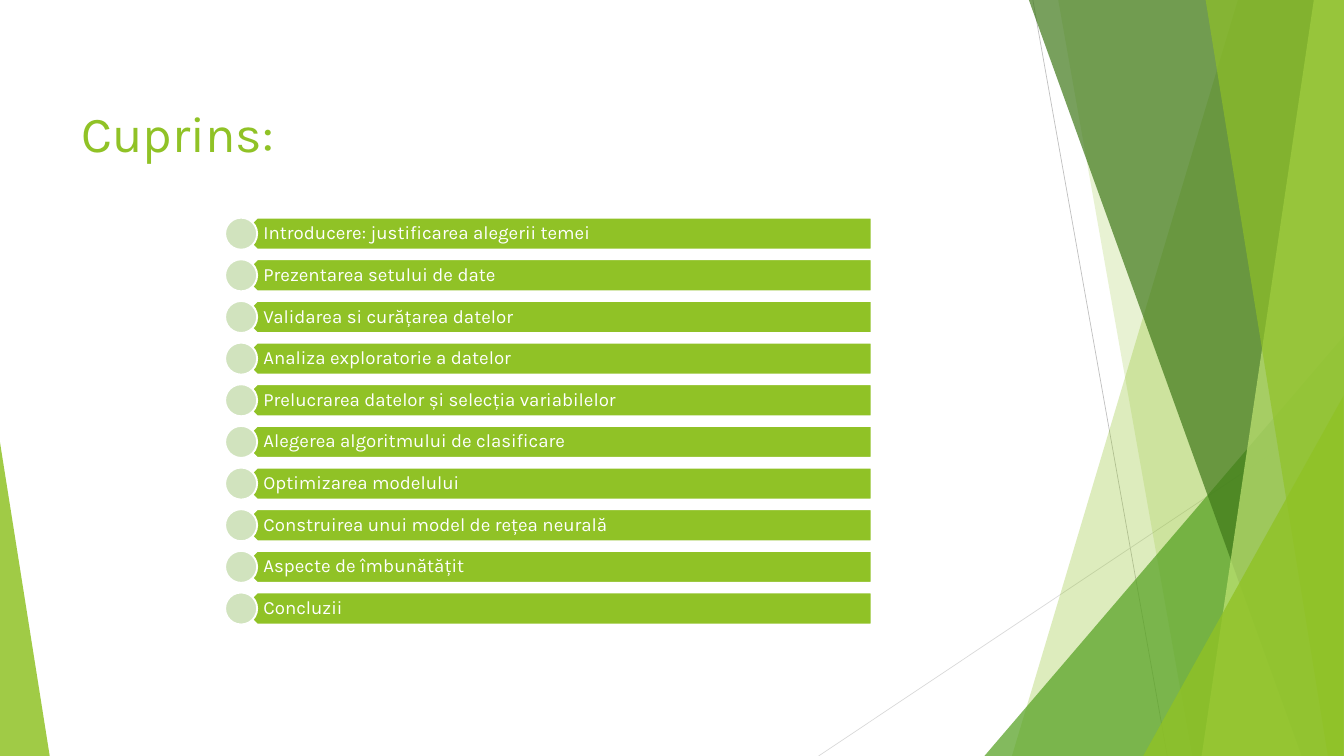
from collections import namedtuple

from lxml.etree import SubElement
from pptx import Presentation
from pptx.dml.color import RGBColor
from pptx.enum.shapes import MSO_CONNECTOR, MSO_SHAPE
from pptx.enum.text import MSO_ANCHOR, PP_ALIGN
from pptx.oxml.ns import qn
from pptx.util import Cm, Pt

Box = namedtuple("Box", "left top width height")

PAGE = Box(0, 0, 50.8, 28.58)
TITLE = Box(2.82, 2.54, 35.81, 4.95)
CONTENTS = Box(8.51, 8.23, 24.43, 15.38)
BAR_HEIGHT = 1.21
FONT = "Karla"
COLOURS = {
    "lime": "90C226",
    "green": "54A021",
    "forest": "3F7819",
    "pale lime": "C0E474",
    "pale green": "D1E3BE",
    "white": "FFFFFF",
    "grey": "BFBFBF",
    "light grey": "D9D9D9",
}
TOPICS = [
    "Introducere: justificarea alegerii temei",
    "Prezentarea setului de date",
    "Validarea si curățarea datelor",
    "Analiza exploratorie a datelor",
    "Prelucrarea datelor și selecția variabilelor",
    "Alegerea algoritmului de clasificare",
    "Optimizarea modelului",
    "Construirea unui model de rețea neurală",
    "Aspecte de îmbunătățit",
    "Concluzii",
]
RULES = [((39.04, 0), (44.12, 28.58), "grey"), ((50.77, 15.34), (30.94, 28.58), "light grey")]
# Bands run to the right edge: x at top, x at bottom, colour, opacity in percent.
BACK_BANDS = [(46.79, 38.25, "lime", 30), (40, 45.06, "lime", 20)]
FRONT_BANDS = [
    (38.89, 49.2, "forest", 70),
    (49.66, 45.42, "pale lime", 70),
    (45.57, 50.19, "lime", 65),
]
# Wedges stand on the bottom edge: left, width, height, apex, colour, opacity.
BACK_WEDGES = [(37.21, 13.59, 15.88, 1, "green", 72)]
FRONT_WEDGES = [(43.21, 7.57, 13.61, 1, "lime", 80), (0, 1.88, 11.86, 0, "lime", 85)]


def colour(name):
    return RGBColor.from_string(COLOURS[name])


def set_values(target, values):
    for name, value in values.items():
        setattr(target, name, value)


def paint(shape, fill, opacity=100, outline=None):
    shape.shadow.inherit = False
    shape.fill.solid()
    shape.fill.fore_color.rgb = colour(fill)
    if opacity < 100:
        tint = shape.fill._xPr.find(qn("a:solidFill"))[0]
        SubElement(tint, qn("a:alpha"), val=str(opacity * 1000))
    if outline:
        shape.line.color.rgb = colour(outline)
        shape.line.width = Pt(2)
    else:
        shape.line.fill.background()


def add_polygon(shapes, points):
    start, *others = [(Cm(x), Cm(y)) for x, y in points]
    builder = shapes.build_freeform(*start)
    builder.add_line_segments(others, close=True)
    return builder.convert_to_shape()


def write(para, text, size, fill):
    para.alignment = PP_ALIGN.LEFT
    span = para.add_run()
    span.text = text
    set_values(span.font, {"name": FONT, "size": Pt(size)})
    span.font.color.rgb = colour(fill)


def add_rules(shapes, box):
    for start, end, tone in RULES:
        ends = [Cm(box[axis] + point[axis]) for point in (start, end) for axis in (0, 1)]
        rule = shapes.add_connector(MSO_CONNECTOR.STRAIGHT, *ends)
        rule.line.color.rgb = colour(tone)
        rule.line.width = Pt(0.75)
        SubElement(rule._element.spPr, qn("a:effectLst"))


def add_bands(shapes, box, bands):
    right, bottom = box.left + box.width, box.top + box.height
    for top_x, bottom_x, fill, opacity in bands:
        corners = [
            (box.left + top_x, box.top),
            (right, box.top),
            (right, bottom),
            (box.left + bottom_x, bottom),
        ]
        paint(add_polygon(shapes, corners), fill, opacity)


def add_wedges(shapes, box, wedges):
    for left, width, height, apex, fill, opacity in wedges:
        top = box.top + box.height - height
        wedge = shapes.add_shape(
            MSO_SHAPE.ISOSCELES_TRIANGLE, Cm(box.left + left), Cm(top), Cm(width), Cm(height)
        )
        wedge.adjustments[0] = apex
        paint(wedge, fill, opacity)


def add_backdrop(page, box):
    shapes = page.shapes.add_group_shape().shapes
    add_rules(shapes, box)
    add_bands(shapes, box, BACK_BANDS)
    add_wedges(shapes, box, BACK_WEDGES)
    add_bands(shapes, box, FRONT_BANDS)
    add_wedges(shapes, box, FRONT_WEDGES)


def add_title(page, box, text):
    title = page.shapes.title
    set_values(title, {name: Cm(value) for name, value in box._asdict().items()})
    title.text_frame.vertical_anchor = MSO_ANCHOR.MIDDLE
    write(title.text_frame.paragraphs[0], text, 54, "lime")


def add_topic(shapes, box, text):
    """Place a bar with a pointed left end and a disc over the point."""
    half = box.height / 2
    point, shoulder = box.left + half, box.left + box.height
    right, bottom = box.left + box.width, box.top + box.height
    bar = add_polygon(
        shapes,
        [
            (right, bottom),
            (shoulder, bottom),
            (point, box.top + half),
            (shoulder, box.top),
            (right, box.top),
        ],
    )
    paint(bar, "lime", outline="white")
    frame = bar.text_frame
    set_values(
        frame,
        {
            "word_wrap": True,
            "vertical_anchor": MSO_ANCHOR.MIDDLE,
            "margin_left": Cm(0.84),
            "margin_right": Cm(0.41),
            "margin_top": Cm(0.2),
            "margin_bottom": Cm(0.2),
        },
    )
    para = frame.paragraphs[0]
    set_values(para, {"line_spacing": 0.9, "space_after": Pt(7)})
    write(para, text, 20, "white")

    disc = shapes.add_shape(
        MSO_SHAPE.OVAL, Cm(box.left), Cm(box.top), Cm(box.height), Cm(box.height)
    )
    paint(disc, "pale green", outline="white")


def add_contents(page, box, topics):
    shapes = page.shapes.add_group_shape().shapes
    pitch = (box.height - BAR_HEIGHT) / (len(topics) - 1)
    for index, topic in enumerate(topics):
        row = Box(box.left, box.top + index * pitch, box.width, BAR_HEIGHT)
        add_topic(shapes, row, topic)


def main():
    deck = Presentation()
    set_values(deck, {"slide_width": Cm(PAGE.width), "slide_height": Cm(PAGE.height)})
    page = deck.slides.add_slide(deck.slide_layouts[5])
    add_backdrop(page, PAGE)
    add_title(page, TITLE, "Cuprins:")
    add_contents(page, CONTENTS, TOPICS)
    deck.save("out.pptx")


if __name__ == "__main__":
    main()
